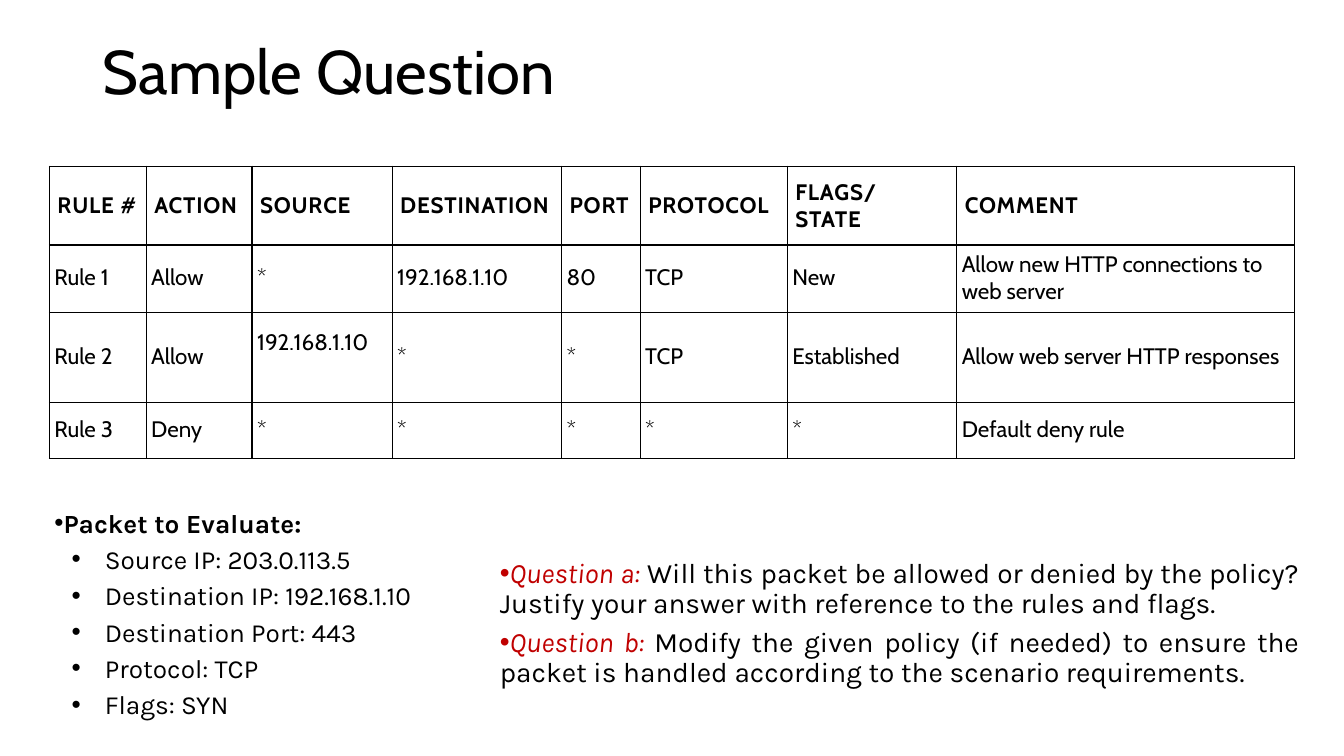
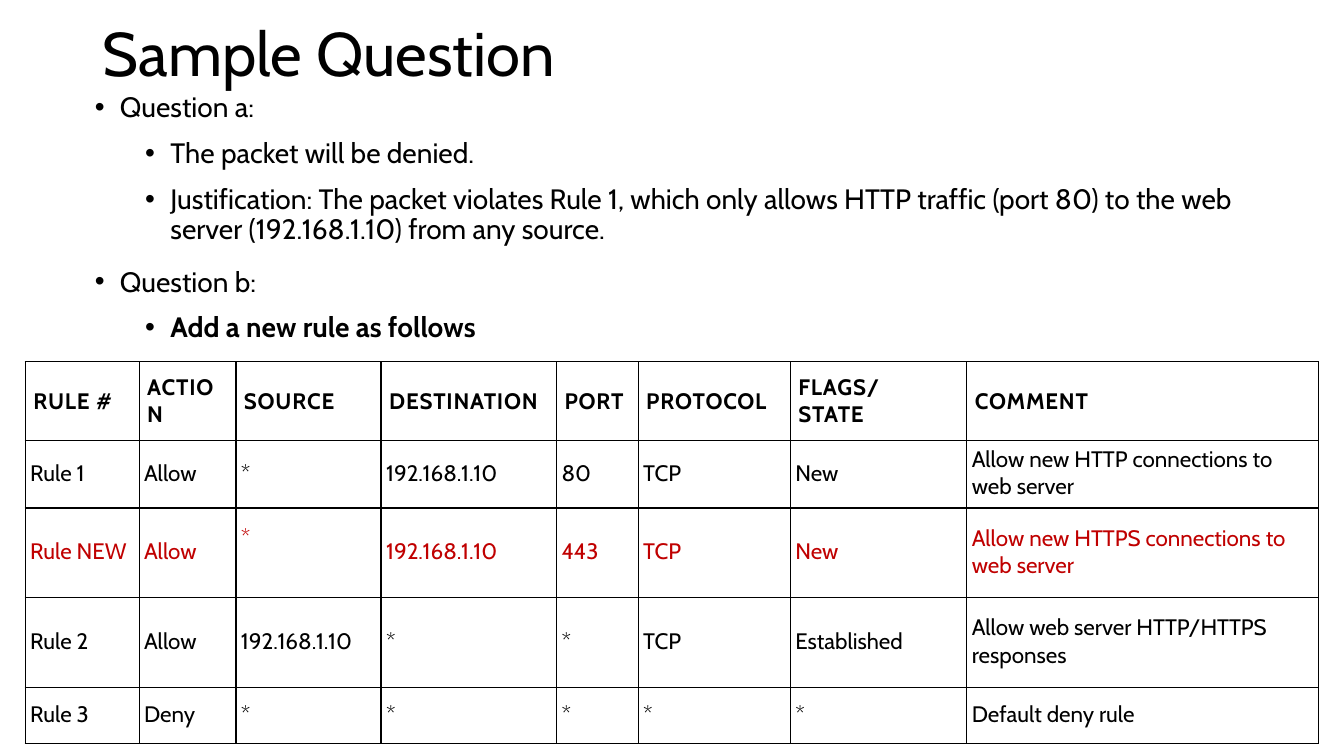
"""Build two slides on a sample firewall policy question and its answer."""
from lxml import etree
from pptx import Presentation
from pptx.dml.color import RGBColor
from pptx.enum.text import MSO_ANCHOR, MSO_AUTO_SIZE, PP_ALIGN
from pptx.oxml.ns import qn
from pptx.util import Pt

PX = 9144
MIDDLE, TOP = MSO_ANCHOR.MIDDLE, MSO_ANCHOR.TOP
LEFT, JUSTIFY = PP_ALIGN.LEFT, PP_ALIGN.JUSTIFY
NO_FIT, GROW = MSO_AUTO_SIZE.NONE, MSO_AUTO_SIZE.SHAPE_TO_FIT_TEXT
BLACK, RED = "000000", "C00000"
HEAD_FONT, TEXT_FONT = "Cabin", "Karla"

HEADER = ["RULE #", "ACTION", "SOURCE", "DESTINATION", "PORT", "PROTOCOL",
          "FLAGS/\nSTATE", "COMMENT"]
WEB = "192.168.1.10"
RULE_1 = ["Rule 1", "Allow", "*", WEB, "80", "TCP", "New",
          "Allow new HTTP connections to web server"]
RULE_NEW = ["Rule NEW", "Allow", "*", WEB, "443", "TCP", "New",
            "Allow new HTTPS connections to web server"]
RULE_2 = ["Rule 2", "Allow", WEB, "*", "*", "TCP", "Established"]
RULE_3 = ["Rule 3", "Deny", "*", "*", "*", "*", "*", "Default deny rule"]


def add_run(p, text, size, font, color=BLACK, bold=False, italic=False):
    r = p.add_run()
    r.text = text
    r.font.size = Pt(size)
    r.font.name = font
    r.font.bold = bold
    r.font.italic = italic
    r.font.color.rgb = RGBColor.from_string(color)
    return r


def add_bullet(tf, level, margin, hang, line, before, after, align=LEFT):
    p = tf.paragraphs[0]
    if p.runs:
        p = tf.add_paragraph()
    p.level = level
    p.alignment = align
    p.line_spacing = line
    p.space_before = Pt(before)
    p.space_after = Pt(after)
    pPr = p._p.get_or_add_pPr()
    pPr.set("marL", str(margin * PX))
    pPr.set("indent", str(-hang * PX))
    etree.SubElement(pPr, qn("a:buFont"), typeface="Arial")
    etree.SubElement(pPr, qn("a:buChar"), char="•")
    return p


prs = Presentation()
prs.slide_width, prs.slide_height = 1333 * PX, 750 * PX
question = prs.slides.add_slide(prs.slide_layouts[5])
answer = prs.slides.add_slide(prs.slide_layouts[1])

pages = [
    (question, 145, 49, 165, [96, 105, 139, 168, 78, 146, 168, 335],
     [78, 67, 89, 56],
     [HEADER, RULE_1, RULE_2 + ["Allow web server HTTP responses"], RULE_3],
     (2, 2)),
    (answer, 111, 25, 359, [113, 96, 144, 174, 81, 151, 175, 349],
     [78, 67, 89, 89, 56],
     [HEADER, RULE_1, RULE_NEW,
      RULE_2 + ["Allow web server HTTP/HTTPS responses"], RULE_3],
     (2, 2)),
]

for s, title_h, x, y, widths, heights, rows, raised in pages:
    title = s.shapes.title
    title.left, title.top = 92 * PX, 1 * PX
    title.width, title.height = 1150 * PX, title_h * PX
    tf = title.text_frame
    tf.vertical_anchor = MIDDLE
    tf.auto_size = NO_FIT
    p = tf.paragraphs[0]
    p.alignment = LEFT
    p.line_spacing = 0.9
    add_run(p, "Sample Question", 44, HEAD_FONT)

    table = s.shapes.add_table(len(rows), len(widths), x * PX, y * PX,
                               sum(widths) * PX, sum(heights) * PX).table
    table.first_row = table.horz_banding = False
    for column, w in zip(table.columns, widths):
        column.width = w * PX
    for i, (row, h) in enumerate(zip(rows, heights)):
        table.rows[i].height = h * PX
        header = row is HEADER
        side, top = (8, 8) if header else (5, 3)
        for j, text in enumerate(row):
            cell = table.cell(i, j)
            cell.vertical_anchor = MIDDLE
            cell.margin_left = cell.margin_right = side * PX
            cell.margin_top = top * PX
            cell.margin_bottom = (33 if (i, j) == raised else side) * PX
            tcPr = cell._tc.get_or_add_tcPr()
            for edge in ("a:lnL", "a:lnR", "a:lnT", "a:lnB"):
                ln = etree.SubElement(tcPr, qn(edge), w=str(Pt(1)))
                fill = etree.SubElement(ln, qn("a:solidFill"))
                etree.SubElement(fill, qn("a:srgbClr"), val=BLACK)
            cell.fill.background()
            tf = cell.text_frame
            for k, line in enumerate(text.split("\n")):
                p = tf.add_paragraph() if k else tf.paragraphs[0]
                r = add_run(p, line, 16, HEAD_FONT,
                            RED if row is RULE_NEW else BLACK, header)
                if header:
                    r.font._element.set("spc", "60")

sp = question.shapes.add_textbox(41 * PX, 502 * PX, 462 * PX, 235 * PX)
tf = sp.text_frame
tf.word_wrap = True
tf.margin_left = tf.margin_right = 13 * PX
tf.margin_top = tf.margin_bottom = 7 * PX
packet = ["Packet to Evaluate:", "Source IP: 203.0.113.5",
          "Destination IP: 192.168.1.10", "Destination Port: 443",
          "Protocol: TCP", "Flags: SYN"]
for i, text in enumerate(packet):
    level = min(i, 1)
    p = add_bullet(tf, level, 50 * level, 33, 0.8, 0, 8)
    add_run(p, text, 18.7, TEXT_FONT, bold=level == 0)

sp = question.shapes.add_textbox(486 * PX, 550 * PX, 813 * PX, 140 * PX)
tf = sp.text_frame
tf.word_wrap = True
tf.auto_size = GROW
tasks = [
    ("Question a:", " Will this packet be allowed or denied by the policy? "
     "Justify your answer with reference to the rules and flags."),
    ("Question b: ", "Modify the given policy (if needed) to ensure the "
     "packet is handled according to the scenario requirements."),
]
for label, text in tasks:
    p = add_bullet(tf, 0, 0, 33, 0.9, 0, 6, JUSTIFY)
    add_run(p, label, 20, TEXT_FONT, RED, italic=True)
    add_run(p, text, 20, TEXT_FONT)

body = answer.placeholders[1]
body.left, body.top = 84 * PX, 88 * PX
body.width, body.height = 1164 * PX, 265 * PX
tf = body.text_frame
tf.vertical_anchor = TOP
tf.auto_size = NO_FIT
solution = [
    (0, "Question a:", False),
    (1, "The packet will be denied.", False),
    (1, "Justification: The packet violates Rule 1, which only allows HTTP "
     "traffic (port 80) to the web server (192.168.1.10) from any source.",
     False),
    (0, "Question b:", False),
    (1, "Add a new rule as follows", True),
]
for level, text, bold in solution:
    p = add_bullet(tf, level, 25 + 50 * level, 25, 0.9, 10 - 5 * level, 6)
    add_run(p, text, 20, HEAD_FONT, bold=bold)

prs.save("out.pptx")
